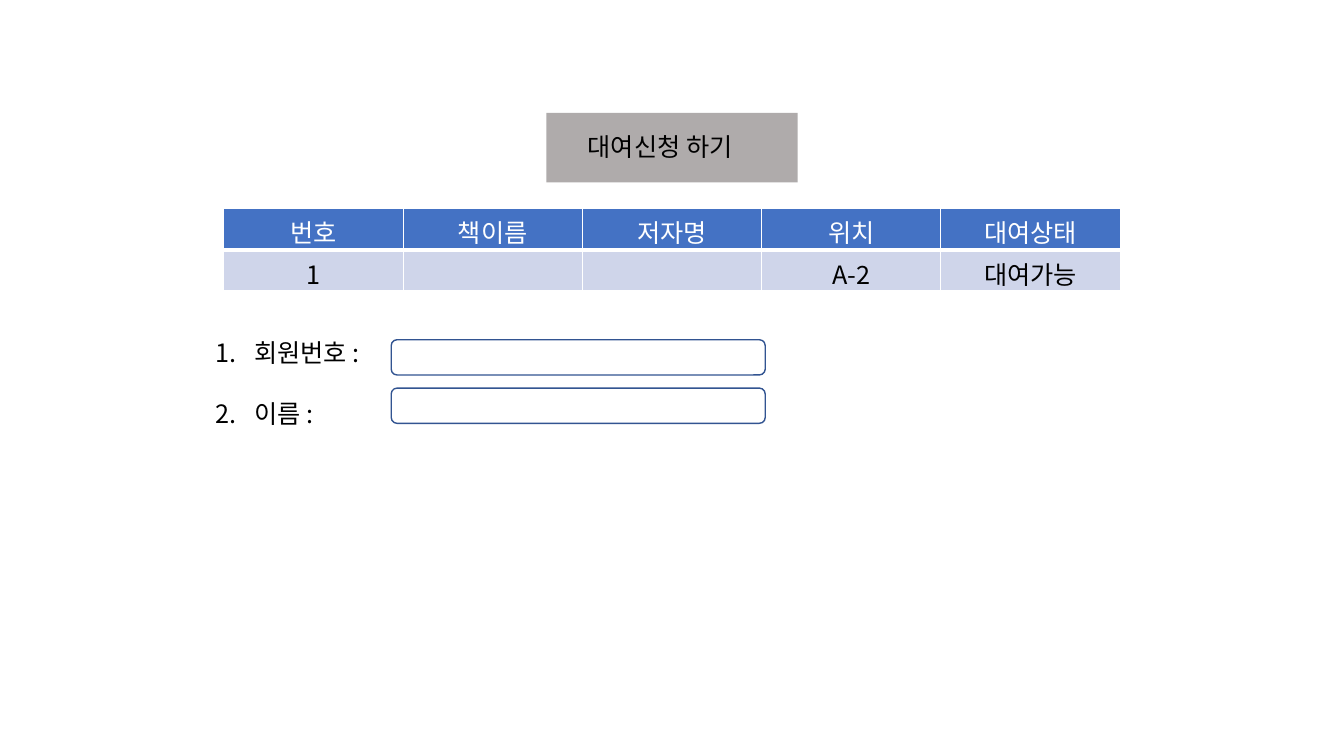
from dataclasses import dataclass

from lxml.etree import SubElement
from pptx import Presentation
from pptx.dml.color import RGBColor
from pptx.enum.shapes import MSO_SHAPE as Shape
from pptx.enum.text import MSO_ANCHOR as Anchor, MSO_AUTO_SIZE as AutoSize, PP_ALIGN as Align
from pptx.oxml.ns import qn
from pptx.util import Inches, Pt


@dataclass(frozen=True)
class Theme:
    font: str = "Noto Sans CJK KR"
    size: int = 18
    text: str = "000000"
    white: str = "FFFFFF"
    button: str = "AFABAB"
    header: str = "4472C4"
    band: str = "CFD5EA"
    outline: str = "325491"


@dataclass(frozen=True)
class Box:
    left: float
    top: float
    width: float
    height: float

    def lengths(self):
        return [Inches(value) for value in (self.left, self.top, self.width, self.height)]


@dataclass(frozen=True)
class Panel:
    kind: Shape
    box: Box
    fill: str
    line: str = ""


@dataclass(frozen=True)
class TableRow:
    texts: tuple
    height: float
    fill: str
    color: str
    bottom: int


@dataclass(frozen=True)
class FormField:
    label: str
    line_spacing: float


THEME = Theme()
BUTTON = Panel(Shape.RECTANGLE, Box(5.42, 1.12, 2.49, 0.69), THEME.button)
TITLE_BOX = Box(5.73, 1.25, 1.87, 0.4)
TABLE_BOX = Box(2.22, 2.07, 8.89, 0.8)
LIST_BOX = Box(2.04, 3.3, 10.63, 0.91)
ROWS = (
    TableRow(("번호", "책이름", "저자명", "위치", "대여상태"), 0.41, THEME.header, THEME.white, 3),
    TableRow(("1", "", "", "A-2", "대여가능"), 0.39, THEME.band, THEME.text, 1),
)
FIELDS = (FormField("회원번호 :", 1), FormField("이름 :", 2))
FIELD_TOP, FIELD_PITCH = 3.37, 0.48
LIST_INDENT = Inches(0.38)


def format_runs(para, color: str) -> None:
    for span in para.runs:
        font = span.font
        font.name = THEME.font
        font.size = Pt(THEME.size)
        font.bold = False
        font.color.rgb = RGBColor.from_string(color)
        SubElement(font._element, qn("a:ea"), typeface=THEME.font)


def place(holder, box: Box) -> None:
    holder.left, holder.top, holder.width, holder.height = box.lengths()
    holder.text_frame.word_wrap = True
    holder.text_frame.vertical_anchor = Anchor.TOP
    holder.text_frame.auto_size = AutoSize.SHAPE_TO_FIT_TEXT


def add_panel(page, panel: Panel):
    shape = page.shapes.add_shape(panel.kind, *panel.box.lengths())
    shape.shadow.inherit = False
    shape.fill.solid()
    shape.fill.fore_color.rgb = RGBColor.from_string(panel.fill)
    if panel.line:
        shape.line.color.rgb = RGBColor.from_string(panel.line)
        shape.line.width = Pt(1)
    else:
        shape.line.fill.background()
    return shape


def add_title(page) -> None:
    title = page.shapes.title
    place(title, TITLE_BOX)
    title.text_frame.text = "대여신청 하기"
    para = title.text_frame.paragraphs[0]
    para.alignment = Align.LEFT
    format_runs(para, THEME.text)
    title.element.addprevious(add_panel(page, BUTTON).element)


def add_borders(cell, bottom: int) -> None:
    properties = cell._tc.get_or_add_tcPr()
    for side, width in (("L", 1), ("R", 1), ("T", 1), ("B", bottom)):
        line = SubElement(properties, qn(f"a:ln{side}"), w=str(Pt(width)))
        SubElement(SubElement(line, qn("a:solidFill")), qn("a:srgbClr"), val=THEME.white)


def add_book_table(page) -> None:
    column_count = len(ROWS[0].texts)
    table = page.shapes.add_table(len(ROWS), column_count, *TABLE_BOX.lengths()).table
    for column in table.columns:
        column.width = Inches(TABLE_BOX.width / column_count)
    for index, row in enumerate(ROWS):
        table.rows[index].height = Inches(row.height)
        for cell, text in zip(table.rows[index].cells, row.texts):
            add_borders(cell, row.bottom)
            cell.fill.solid()
            cell.fill.fore_color.rgb = RGBColor.from_string(row.fill)
            cell.text_frame.text = text
            para = cell.text_frame.paragraphs[0]
            para.alignment = Align.CENTER
            format_runs(para, row.color)


def add_form(page) -> None:
    body = page.placeholders[1]
    place(body, LIST_BOX)
    body.text_frame.text = "\n".join(field.label for field in FIELDS)
    for index, (field, para) in enumerate(zip(FIELDS, body.text_frame.paragraphs)):
        properties = para._p.get_or_add_pPr()
        properties.set("marL", str(LIST_INDENT))
        properties.set("indent", str(-LIST_INDENT))
        SubElement(properties, qn("a:buFont"), typeface=THEME.font)
        SubElement(properties, qn("a:buAutoNum"), type="arabicPeriod")
        para.space_before = Pt(0)
        para.line_spacing = float(field.line_spacing)
        format_runs(para, THEME.text)
        input_box = Box(3.88, FIELD_TOP + index * FIELD_PITCH, 3.71, 0.35)
        add_panel(page, Panel(Shape.ROUNDED_RECTANGLE, input_box, THEME.white, THEME.outline))


def main() -> None:
    deck = Presentation()
    deck.slide_width, deck.slide_height = Inches(13.33), Inches(7.5)
    page = deck.slides.add_slide(deck.slide_layouts[1])
    add_title(page)
    add_book_table(page)
    add_form(page)
    deck.save("out.pptx")


if __name__ == "__main__":
    main()
